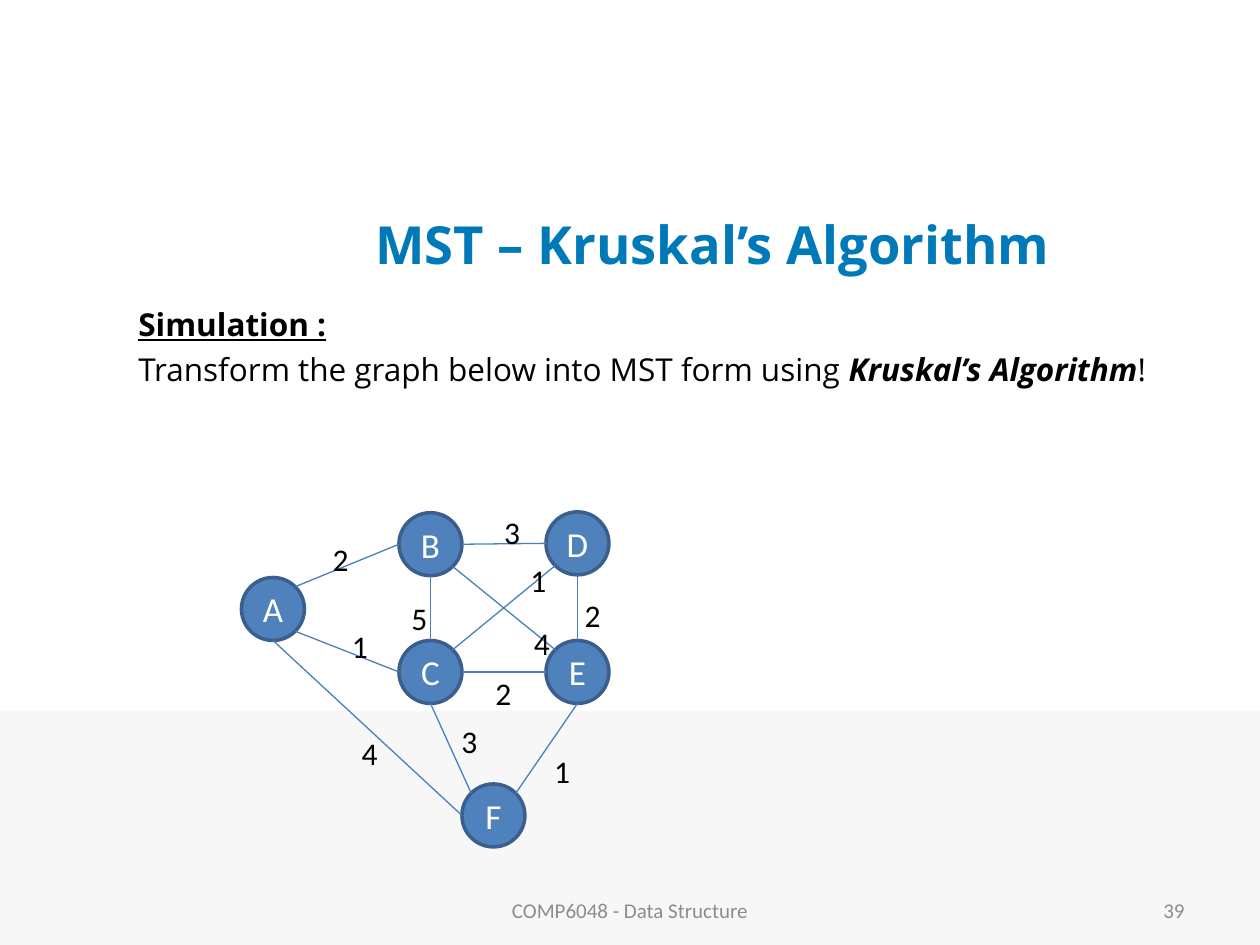
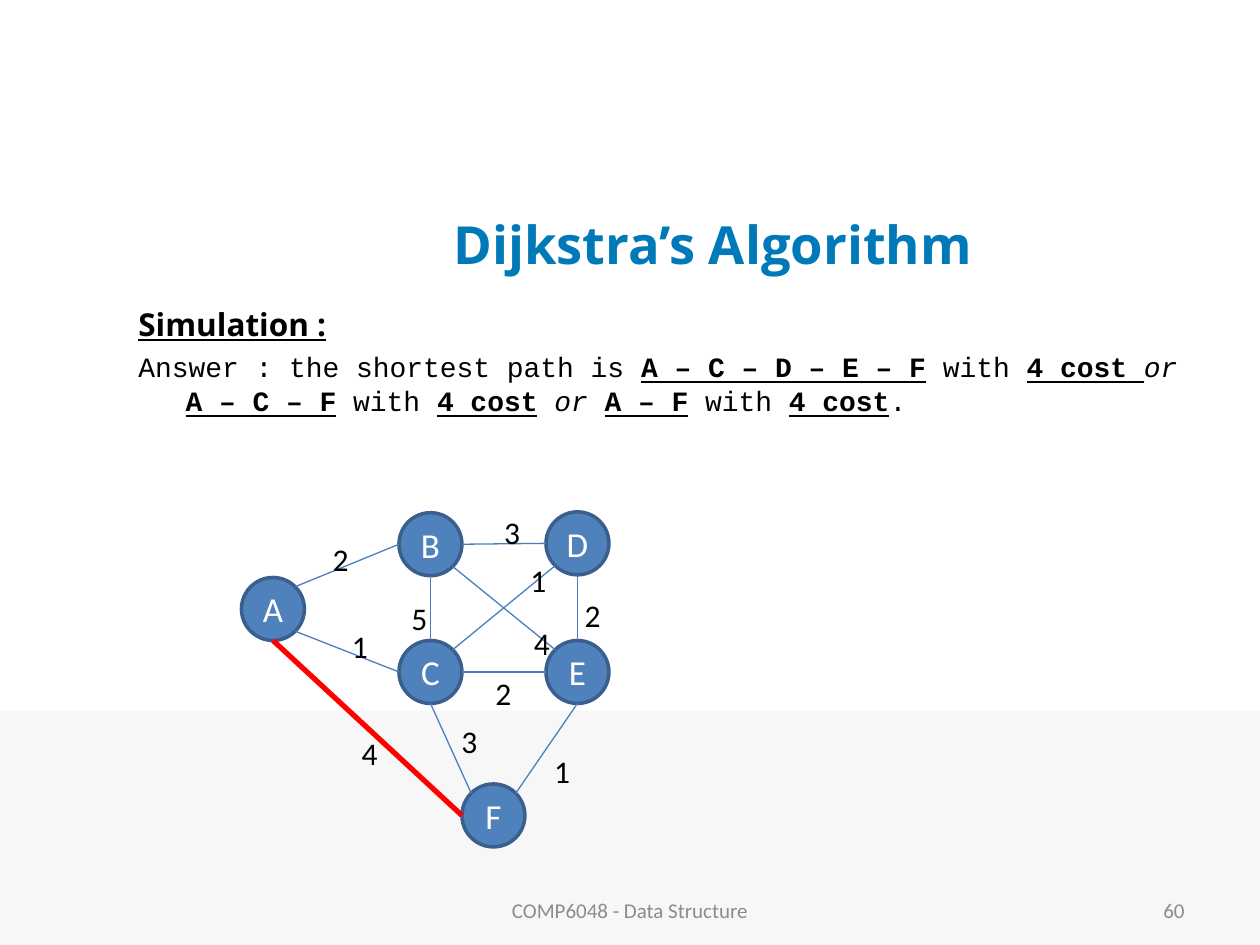
from math import cos, sin, radians

from lxml import etree
from pptx import Presentation
from pptx.dml.color import RGBColor
from pptx.enum.shapes import MSO_CONNECTOR as Link, MSO_SHAPE as Kind
from pptx.enum.text import MSO_ANCHOR as Anchor, MSO_AUTO_SIZE as Auto, PP_ALIGN as Align
from pptx.oxml.ns import qn
from pptx.util import Pt

# Content: each slide has a title, number, highlighted edge and body.
# A body paragraph is (font, size, line height, runs); a run is (text, marks).
HEAD = ("Open Sans", 18, 22, [("Simulation :", "bu")])
SLIDES = [
    {"title": "MST – Kruskal’s Algorithm", "num": "39", "path": "", "body": [
        HEAD,
        ("Open Sans", 18, 22, [
            ("Transform the graph below into MST form using ", ""),
            ("Kruskal’s Algorithm", "bi"), ("!", "")])]},
    {"title": "Dijkstra’s Algorithm", "num": "60", "path": "AF", "body": [
        HEAD,
        ("Courier New", 16, 19.5, [
            ("Answer : the shortest path is ", ""), ("A – C – D – E – F", "bu"),
            (" with ", ""), ("4 cost ", "bu"), ("or ", "i"), ("A – C – F", "bu"),
            (" with ", ""), ("4 cost", "bu"), (" ", ""), ("or ", "i"),
            ("A – F", "bu"), (" with ", ""), ("4 cost", "bu"), (".", "")])]},
]
FOOT = "COMP6048 - Data Structure"

# Graph: left and top of each node, then edges with weight and label place
NODES = {"A": (138, 330), "B": (228, 293), "C": (228, 366),
         "D": (312, 292.5), "E": (312, 366), "F": (264, 448)}
EDGES = [
    ("AB", "NE", "W", "2", 183, 305), ("AC", "SE", "W", "1", 194, 355),
    ("BD", "E", "W", "3", 281, 289.5), ("DE", "S", "N", "2", 327, 337),
    ("CE", "E", "W", "2", 276, 381.5), ("BC", "S", "N", "5", 228, 338.5),
    ("DC", "SW", "NE", "1", 296, 317), ("BE", "SE", "NW", "4", 298, 353),
    ("AF", "S", "W", "4", 199.5, 416), ("FE", "NE", "S", "1", 309.5, 426),
    ("CF", "S", "NW", "3", 256.5, 409),
]
SIDES = ["E", "SE", "S", "SW", "W", "NW", "N", "NE"]
SIZE = 36

# Shared styles
TITLE = {"name": "Open Sans", "size": Pt(30), "bold": True}
SMALL = {"name": "Calibri", "size": Pt(12)}
NODE = {"name": "Calibri", "size": Pt(20)}
LABEL = {"name": "Calibri", "size": Pt(18)}
BLUE, GREY, BLACK = "0079B8", "8C8C8C", "000000"


def tint(code):
    return RGBColor.from_string(code)


def style(font, form, code):
    for key, val in form.items():
        setattr(font, key, val)
    font.color.rgb = tint(code)


def write(frame, text, form, code, align=Align.CENTER, anchor=Anchor.MIDDLE):
    frame.vertical_anchor = anchor
    par = frame.paragraphs[0]
    par.alignment = align
    run = par.add_run()
    run.text = text
    style(run.font, form, code)


def add_box(slide, box):
    frame = slide.shapes.add_textbox(*map(Pt, box)).text_frame
    frame.word_wrap = True
    return frame


def add_form(slide, kind, box, fill, line=None):
    shape = slide.shapes.add_shape(kind, *map(Pt, box))
    shape.shadow.inherit = False
    shape.fill.solid()
    shape.fill.fore_color.rgb = tint(fill)
    if line:
        shape.line.color.rgb = tint(line)
        shape.line.width = Pt(2)
    else:
        shape.line.fill.background()
    return shape


def site(name, side):
    """Point on a node's rim in a compass direction."""
    turn = radians(45 * SIDES.index(side))
    left, top = NODES[name]
    half = SIZE / 2
    return Pt(left + half + half * cos(turn)), Pt(top + half + half * sin(turn))


def add_body(slide, body):
    frame = add_box(slide, (72, 170.6, 618, 337.7))
    for i, (face, size, pitch, runs) in enumerate(body):
        par = frame.add_paragraph() if i else frame.paragraphs[0]
        props = par._p.get_or_add_pPr()
        props.set("marL", str(Pt(27)))
        props.set("indent", str(-Pt(27)))
        par.line_spacing = Pt(pitch)
        if i:
            par.space_before = Pt(size * 0.2)
        for text, marks in runs:
            run = par.add_run()
            run.text = text
            form = {"name": face, "size": Pt(size), "bold": "b" in marks,
                    "italic": "i" in marks, "underline": "u" in marks}
            style(run.font, form, BLACK)


def add_graph(slide, path):
    for name, (left, top) in NODES.items():
        ball = add_form(slide, Kind.OVAL, (left, top, SIZE, SIZE), "4F81BD", "3A5F8C")
        ball.text_frame.word_wrap = False
        write(ball.text_frame, name, NODE, "FFFFFF")
    for (start, end), out, into, *_ in EDGES:
        edge = slide.shapes.add_connector(
            Link.STRAIGHT, *site(start, out), *site(end, into))
        hot = start + end == path
        edge.line.color.rgb = tint("FF0000" if hot else "4B7EBC")
        edge.line.width = Pt(3 if hot else 0.75)
        etree.SubElement(edge._element.spPr, qn("a:effectLst"))
    for *_, cost, left, top in EDGES:
        frame = add_box(slide, (left, top, 21, 21.6))
        frame.word_wrap = False
        frame.auto_size = Auto.SHAPE_TO_FIT_TEXT
        write(frame, cost, LABEL, BLACK, Align.LEFT, Anchor.TOP)


def add_slide(deck, data):
    slide = deck.slides.add_slide(deck.slide_layouts[6])
    # Band, title and footer
    add_form(slide, Kind.RECTANGLE, (0, 406, 720, 134), "F7F7F7")
    write(add_box(slide, (138, 108, 538.6, 62.6)), data["title"], TITLE, BLUE)
    write(add_box(slide, (246, 505.5, 228, 28.8)), FOOT, SMALL, GREY)
    write(add_box(slide, (516, 505.5, 168, 28.8)), data["num"], SMALL, GREY, Align.RIGHT)
    # Text and graph
    add_body(slide, data["body"])
    add_graph(slide, data["path"])


def main():
    deck = Presentation()
    deck.slide_width, deck.slide_height = Pt(720), Pt(540)
    for data in SLIDES:
        add_slide(deck, data)
    deck.save("out.pptx")


if __name__ == "__main__":
    main()
